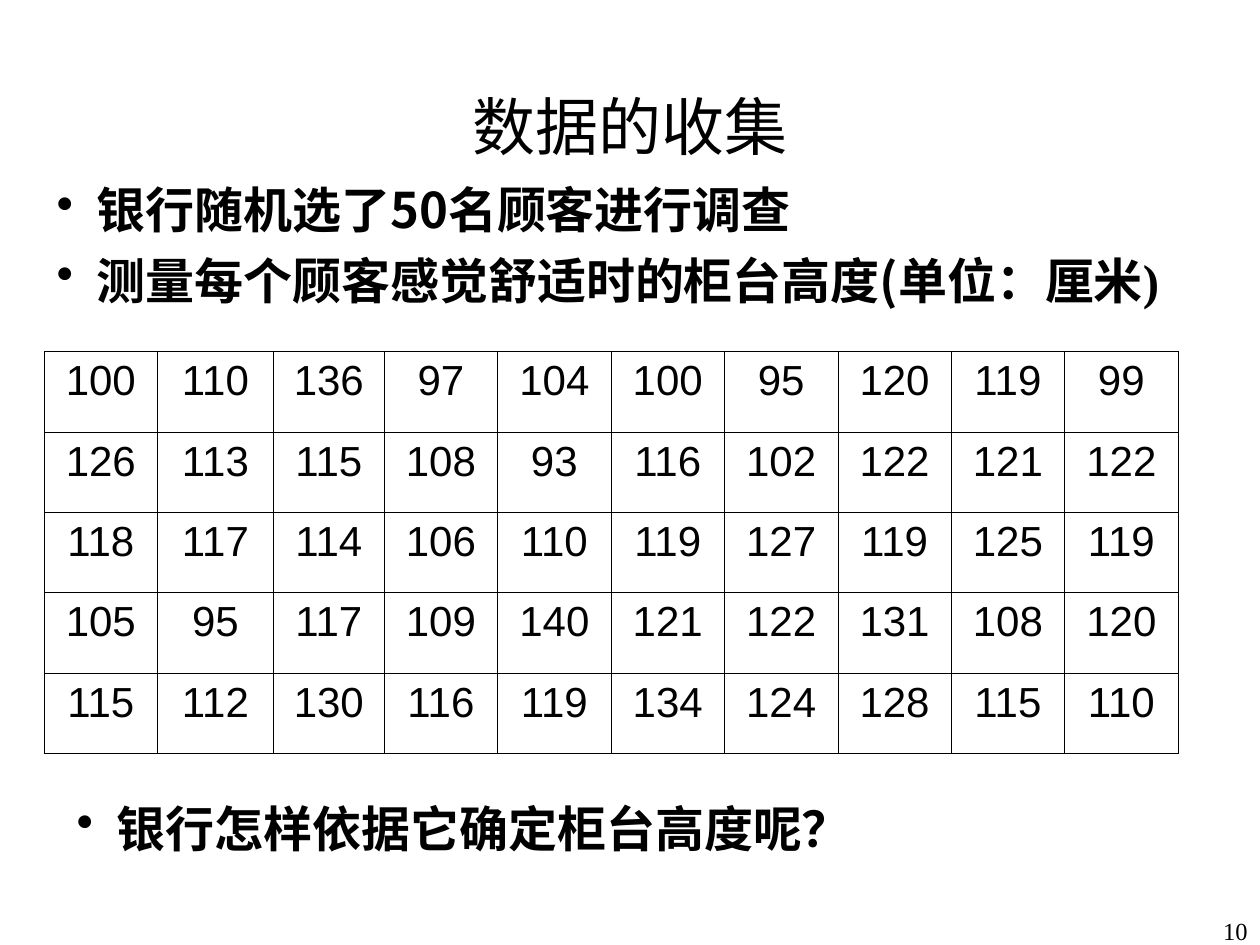
from dataclasses import dataclass

from lxml.etree import SubElement
from pptx import Presentation
from pptx.dml.color import RGBColor
from pptx.enum.text import MSO_ANCHOR, PP_ALIGN
from pptx.oxml.ns import qn
from pptx.util import Inches, Pt


@dataclass(frozen=True)
class Theme:
    ink: str = "000000"
    sans: str = "Arial"
    serif: str = "Times New Roman"
    cjk: str = "Noto Sans CJK SC"
    title: int = 36
    body: int = 28
    cell: int = 24
    number: int = 14
    outer: float = 0.45
    inner: float = 0.34


THEME = Theme()

HEIGHTS = [
    [100, 110, 136, 97, 104, 100, 95, 120, 119, 99],
    [126, 113, 115, 108, 93, 116, 102, 122, 121, 122],
    [118, 117, 114, 106, 110, 119, 127, 119, 125, 119],
    [105, 95, 117, 109, 140, 121, 122, 131, 108, 120],
    [115, 112, 130, 116, 119, 134, 124, 128, 115, 110],
]
COLUMN_WIDTHS = [0.9, 0.92, 0.88] + [0.9] * 7


def set_attrs(target, values):
    for name, value in values.items():
        setattr(target, name, value)


def add_run(p, text, font, size, bold=False):
    r = p.add_run()
    r.text = text
    set_attrs(r.font, {"name": font, "size": Pt(size), "bold": bold})
    r.font.color.rgb = RGBColor.from_string(THEME.ink)
    # East Asian glyphs take their own typeface
    SubElement(r.font._element, qn("a:ea"), typeface=THEME.cjk)


def add_box(s, left, top, width, height, **frame):
    sp = s.shapes.add_textbox(*map(Inches, (left, top, width, height)))
    tf = sp.text_frame
    set_attrs(tf, {"word_wrap": True, **frame})
    return tf


def add_line(s, box, text, font, size, align, anchor=MSO_ANCHOR.TOP):
    p = add_box(s, *box, vertical_anchor=anchor).paragraphs[0]
    p.alignment = align
    add_run(p, text, font, size)


def add_bullets(s, box, items):
    """Each item is a list of (text, font) runs."""
    tf = add_box(s, *box, margin_top=Inches(0.09))
    for i, runs in enumerate(items):
        p = tf.add_paragraph() if i else tf.paragraphs[0]
        set_attrs(p, {"line_spacing": Pt(33.5), "space_before": Pt(7 if i else 0)})
        pPr = p._p.get_or_add_pPr()
        pPr.set("marL", str(Inches(0.32)))
        pPr.set("indent", str(-Inches(0.32)))
        color = SubElement(pPr, qn("a:buClr"))
        SubElement(color, qn("a:srgbClr"), val=THEME.ink)
        SubElement(pPr, qn("a:buChar"), char="•")
        for text, font in runs:
            add_run(p, text, font, THEME.body, bold=True)


def set_borders(cell, widths):
    tcPr = cell._tc.get_or_add_tcPr()
    for i, (side, width) in enumerate(widths.items()):
        ln = tcPr.makeelement(qn(f"a:ln{side}"), {"w": str(Pt(width))})
        fill = SubElement(ln, qn("a:solidFill"))
        SubElement(fill, qn("a:srgbClr"), val=THEME.ink)
        tcPr.insert(i, ln)


def add_grid(s, left, top, height, rows, widths):
    n_rows, n_cols = len(rows), len(widths)
    frame = s.shapes.add_table(n_rows, n_cols, *map(Inches, (left, top, sum(widths), height)))
    table = frame.table
    set_attrs(table, {"first_row": False, "horz_banding": False})
    for column, width in zip(table.columns, widths):
        column.width = Inches(width)
    for y, values in enumerate(rows):
        table.rows[y].height = Inches(height / n_rows)
        for x, value in enumerate(values):
            cell = table.cell(y, x)
            cell.fill.background()
            edges = {"L": x == 0, "R": x == n_cols - 1, "T": y == 0, "B": y == n_rows - 1}
            set_borders(cell, {k: THEME.outer if e else THEME.inner for k, e in edges.items()})
            p = cell.text_frame.paragraphs[0]
            p.alignment = PP_ALIGN.CENTER
            add_run(p, str(value), THEME.sans, THEME.cell)


def main():
    prs = Presentation()
    set_attrs(prs, {"slide_width": Inches(10), "slide_height": Inches(7.5)})
    s = prs.slides.add_slide(prs.slide_layouts[6])

    # Page number and title
    add_line(s, (7.76, 7.22, 2.24, 0.28), "10", THEME.serif, THEME.number, PP_ALIGN.RIGHT)
    add_line(s, (0.5, 0.44, 9, 1.11), "数据的收集", THEME.sans, THEME.title,
             PP_ALIGN.CENTER, MSO_ANCHOR.MIDDLE)

    # How the data were collected
    add_bullets(s, (0.35, 1.34, 9.29, 1.13), [
        [("银行随机选了50名顾客进行调查", THEME.cjk)],
        [("测量每个顾客感觉舒适时的柜台高度(", THEME.cjk), ("单位：厘米)", THEME.serif)],
    ])

    # Measured heights
    add_grid(s, 0.35, 2.79, 3.19, HEIGHTS, COLUMN_WIDTHS)

    # Closing question
    add_bullets(s, (0.51, 6.25, 9.29, 0.57), [[("银行怎样依据它确定柜台高度呢？", THEME.cjk)]])

    prs.save("out.pptx")


if __name__ == "__main__":
    main()
